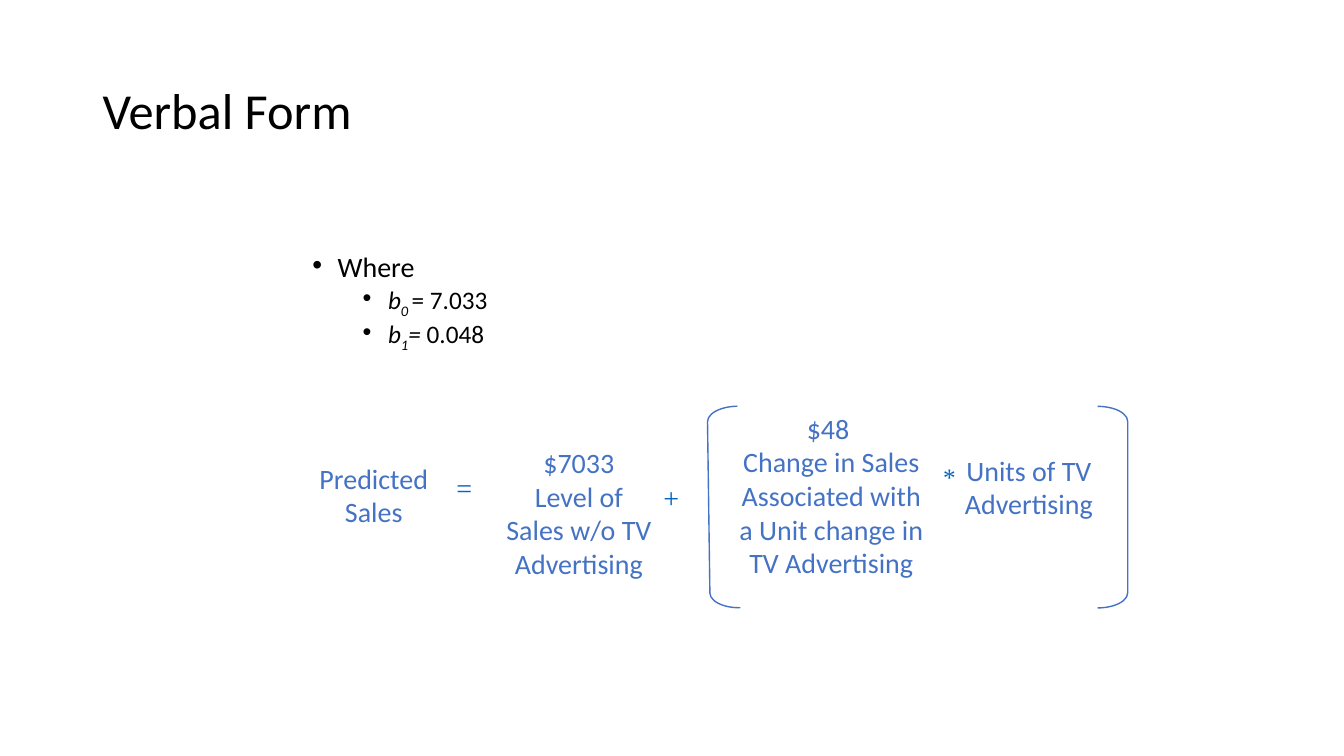
from lxml import etree
from pptx import Presentation
from pptx.dml.color import RGBColor
from pptx.enum.shapes import MSO_SHAPE as Preset
from pptx.enum.text import MSO_ANCHOR as Anchor, MSO_AUTO_SIZE as AutoSize, PP_ALIGN as Align
from pptx.oxml.ns import qn
from pptx.util import Cm, Pt

BLACK = RGBColor(0x00, 0x00, 0x00)
BLUE = RGBColor(0x44, 0x72, 0xC4)
LINK_BLUE = RGBColor(0x05, 0x63, 0xC1)
BODY_FONT = "Calibri"
OPERATOR_FONT = "Times New Roman"


class FormulaSlide:
    def __init__(self, deck):
        self.slide = deck.slides.add_slide(deck.slide_layouts[5])

    def style(self, font, size, color, name=BODY_FONT, italic=False):
        for key, value in dict(size=Pt(size), name=name, italic=italic).items():
            setattr(font, key, value)
        font.color.rgb = color

    def frame(self, box, wrap=True, anchor=Anchor.TOP):
        frame = box.text_frame
        settings = dict(auto_size=AutoSize.NONE, word_wrap=wrap, vertical_anchor=anchor)
        for key, value in settings.items():
            setattr(frame, key, value)
        return frame

    def textbox(self, place, wrap=True):
        return self.frame(self.slide.shapes.add_textbox(*map(Cm, place)), wrap)

    def title(self, text, place):
        heading = self.slide.shapes.title
        for key, value in zip(("left", "top", "width", "height"), place):
            setattr(heading, key, Cm(value))
        paragraph = self.frame(heading, anchor=Anchor.MIDDLE).paragraphs[0]
        paragraph.text = text
        paragraph.alignment = Align.LEFT
        paragraph.line_spacing = 0.9
        self.style(paragraph.font, 36, BLACK)

    def bullets(self, items, place):
        frame = self.textbox(place)
        for index, (level, spacing, size, runs) in enumerate(items):
            paragraph = frame.add_paragraph() if index else frame.paragraphs[0]
            properties = paragraph._p.get_or_add_pPr()
            properties.set("marL", str(Cm(0.64 + 1.27 * level)))
            properties.set("indent", str(-Cm(0.64)))
            etree.SubElement(properties, qn("a:buFont")).set("typeface", "Arial")
            etree.SubElement(properties, qn("a:buChar")).set("char", "•")
            paragraph.level = level
            paragraph.line_spacing = spacing
            if index:
                paragraph.space_before = Pt(5)
            for text, italic, baseline in runs:
                run = paragraph.add_run()
                run.text = text
                self.style(run.font, size, BLACK, italic=italic)
                if baseline:
                    run.font._element.set("baseline", str(baseline))

    def label(self, lines, place, size=20, color=BLUE, name=BODY_FONT, wrap=True):
        frame = self.textbox(place, wrap)
        for index, line in enumerate(lines):
            paragraph = frame.add_paragraph() if index else frame.paragraphs[0]
            paragraph.alignment = Align.CENTER
            run = paragraph.add_run()
            run.text = line
            self.style(run.font, size, color, name)

    def operator(self, sign, place, size=20):
        self.label([sign], place, size, LINK_BLUE, OPERATOR_FONT, wrap=False)

    def bracket(self, left, rotation=0):
        place = map(Cm, (left, 10.24, 0.76, 5.08))
        bracket = self.slide.shapes.add_shape(Preset.RIGHT_BRACKET, *place)
        bracket.adjustments[0] = 0.5
        bracket.rotation = rotation
        bracket.shadow.inherit = False
        bracket.fill.background()
        bracket.line.color.rgb = BLUE
        bracket.line.width = Pt(1)


def main():
    deck = Presentation()
    deck.slide_width, deck.slide_height = Cm(33.87), Cm(19.05)
    verbal_form = FormulaSlide(deck)
    verbal_form.title("Verbal Form", (2.33, 1.02, 29.21, 3.68))
    verbal_form.bullets([
        (0, 0.75, 20, [("Where", False, 0)]),
        (1, 0.75, 18, [("b", True, 0), ("0 ", True, -25000), ("= 7.033", False, 0)]),
        (1, 0.8, 18, [("b", True, 0), ("1", True, -25000), ("= ", True, 0), ("0.048", False, 0)]),
    ], (7.62, 6.35, 18.8, 3.38))

    terms = [
        (["Predicted Sales"], (7.5, 11.5, 3.84, 1.96)),
        (["$7033", "Level of Sales w/o TV Advertising"], (12.47, 11.1, 4.24, 3.68)),
        (["$48 ", "Change in Sales Associated with a Unit change in TV Advertising"],
         (18.26, 10.24, 5.38, 4.52)),
        (["Units of TV Advertising"], (23.62, 11.3, 4.62, 1.96)),
    ]
    for lines, place in terms:
        verbal_form.label(lines, place)

    verbal_form.operator("+", (16.46, 11.99, 0.91, 1.12))
    verbal_form.bracket(27.66)
    verbal_form.bracket(17.86, rotation=179.2)
    verbal_form.operator("*", (23.44, 11.51, 0.97, 1.02), size=18)
    verbal_form.operator("=", (11.13, 11.73, 1.14, 1.09))
    deck.save("out.pptx")


if __name__ == "__main__":
    main()
